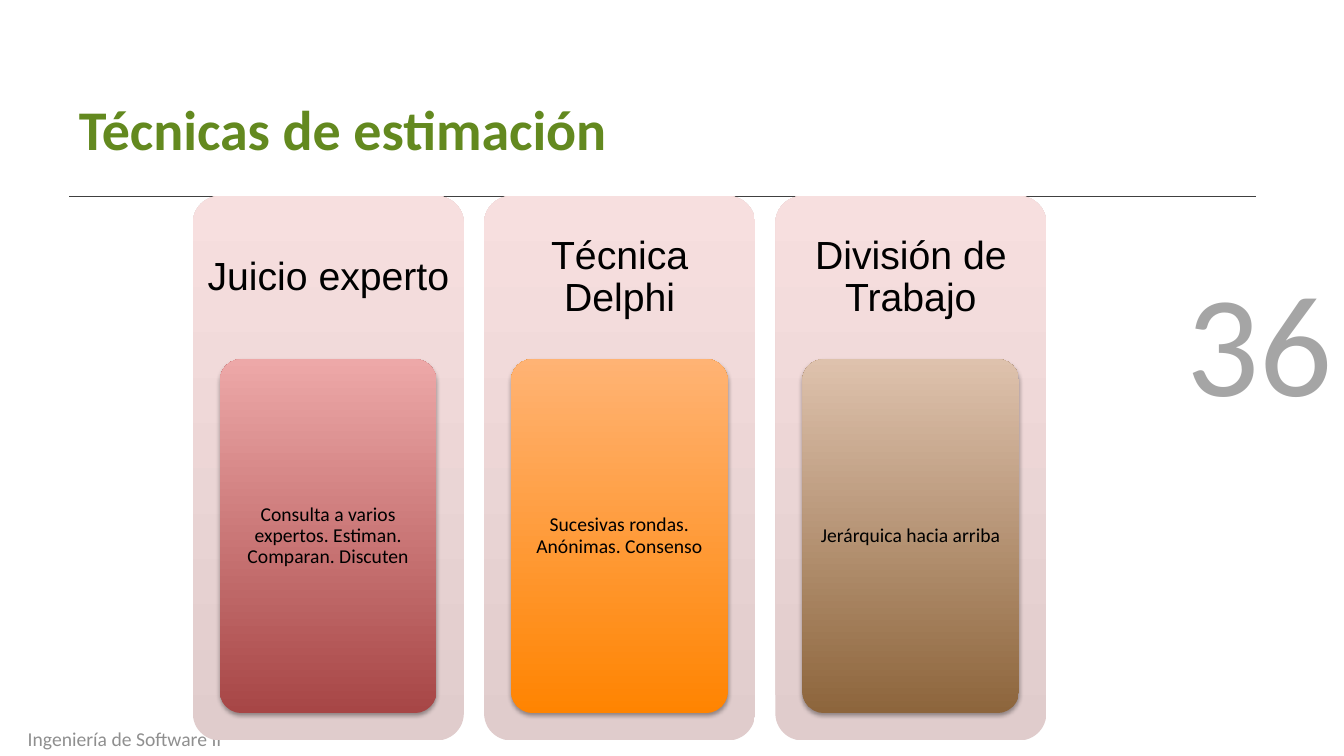
from lxml import etree
from pptx import Presentation
from pptx.dml.color import RGBColor
from pptx.enum.shapes import MSO_CONNECTOR, MSO_SHAPE
from pptx.enum.text import MSO_ANCHOR as ANCHOR, PP_ALIGN as ALIGN
from pptx.oxml.ns import qn
from pptx.util import Cm, Pt

COLORS = {
    "title": "63891F", "rule": "404040", "number": "A5A5A5", "footer": "8F8F8F",
    "text": "000000", "panel": ("E0CCCC", "F7DFDF"), "red": ("A74646", "EDA8A8"),
    "orange": ("FF8401", "FFB374"), "brown": ("8D653C", "DEC2AD"),
}


def add_text(box, text, size, color, font="Calibri", bold=False, anchor=ANCHOR.MIDDLE,
             align=ALIGN.LEFT, spacing=1.0, inset=(0.25, 0.13)):
    """Add a one-paragraph text box; box and inset (x, y) are in cm."""
    tf = s.shapes.add_textbox(*map(Cm, box)).text_frame
    tf.word_wrap = True
    tf.vertical_anchor = anchor
    tf.margin_left = tf.margin_right = Cm(inset[0])
    tf.margin_top = tf.margin_bottom = Cm(inset[1])
    p = tf.paragraphs[0]
    p.alignment = align
    p.line_spacing = spacing
    r = p.add_run()
    r.text = text
    r.font.name, r.font.size, r.font.bold = font, Pt(size), bold
    r.font.color.rgb = RGBColor.from_string(COLORS[color])


def add_rounded(box, colors):
    """Add a borderless rounded box whose gradient runs from bottom to top."""
    sp = s.shapes.add_shape(MSO_SHAPE.ROUNDED_RECTANGLE, *map(Cm, box))
    sp.adjustments[0] = 0.1
    sp.shadow.inherit = False
    sp.line.fill.background()
    sp.fill.gradient()
    sp.fill.gradient_angle = 90
    for stop, color, position in zip(sp.fill.gradient_stops, colors, (0, 1)):
        stop.color.rgb = RGBColor.from_string(color)
        stop.position = position
    return sp


prs = Presentation()
prs.slide_width, prs.slide_height = Cm(33.87), Cm(19.05)
s = prs.slides.add_slide(prs.slide_layouts[6])

rule = s.shapes.add_connector(MSO_CONNECTOR.STRAIGHT, Cm(1.74), Cm(4.94), Cm(31.65), Cm(4.94))
rule.line.width = Pt(0.75)
rule.line.color.rgb = RGBColor.from_string(COLORS["rule"])
etree.SubElement(rule._element.spPr, qn("a:effectLst"))

add_text((1.74, 1.79, 29.91, 3.13), "Técnicas de estimación", 40, "title",
         bold=True, spacing=0.85)
add_text((25.7, 7.92, 8.13, 2.93), "36", 103, "number",
         anchor=ANCHOR.BOTTOM, align=ALIGN.RIGHT)
add_text((0.45, 18.2, 6, 0.6), "Ingeniería de Software II", 14, "footer", anchor=ANCHOR.TOP)

techniques = [
    ("Juicio experto", "Consulta a varios expertos. Estiman. Comparan. Discuten", "red"),
    ("Técnica Delphi", "Sucesivas rondas. Anónimas. Consenso", "orange"),
    ("División de Trabajo", "Jerárquica hacia arriba", "brown"),
]
for i, (name, detail, color) in enumerate(techniques):
    x = 4.86 + 7.34 * i
    add_rounded((x, 4.94, 6.83, 13.72), COLORS["panel"])
    add_text((x, 4.94, 6.83, 4.11), name, 28, "text", font="Arial",
             align=ALIGN.CENTER, spacing=0.9, inset=(0.3, 0.3))
    card = add_rounded((x + 0.68, 9.05, 5.46, 8.92), COLORS[color])
    shadow = etree.SubElement(card._element.spPr.find(qn("a:effectLst")), qn("a:outerShdw"),
                              blurRad=str(Pt(3.1)), dist=str(Pt(1.8)), dir="5400000",
                              rotWithShape="0")
    shade = etree.SubElement(shadow, qn("a:srgbClr"), val=COLORS["text"])
    etree.SubElement(shade, qn("a:alpha"), val="35000")
    add_text((x + 0.84, 9.21, 5.14, 8.6), detail, 14, "text",
             align=ALIGN.CENTER, spacing=0.9, inset=(0.1, 0.08))

prs.save("out.pptx")
